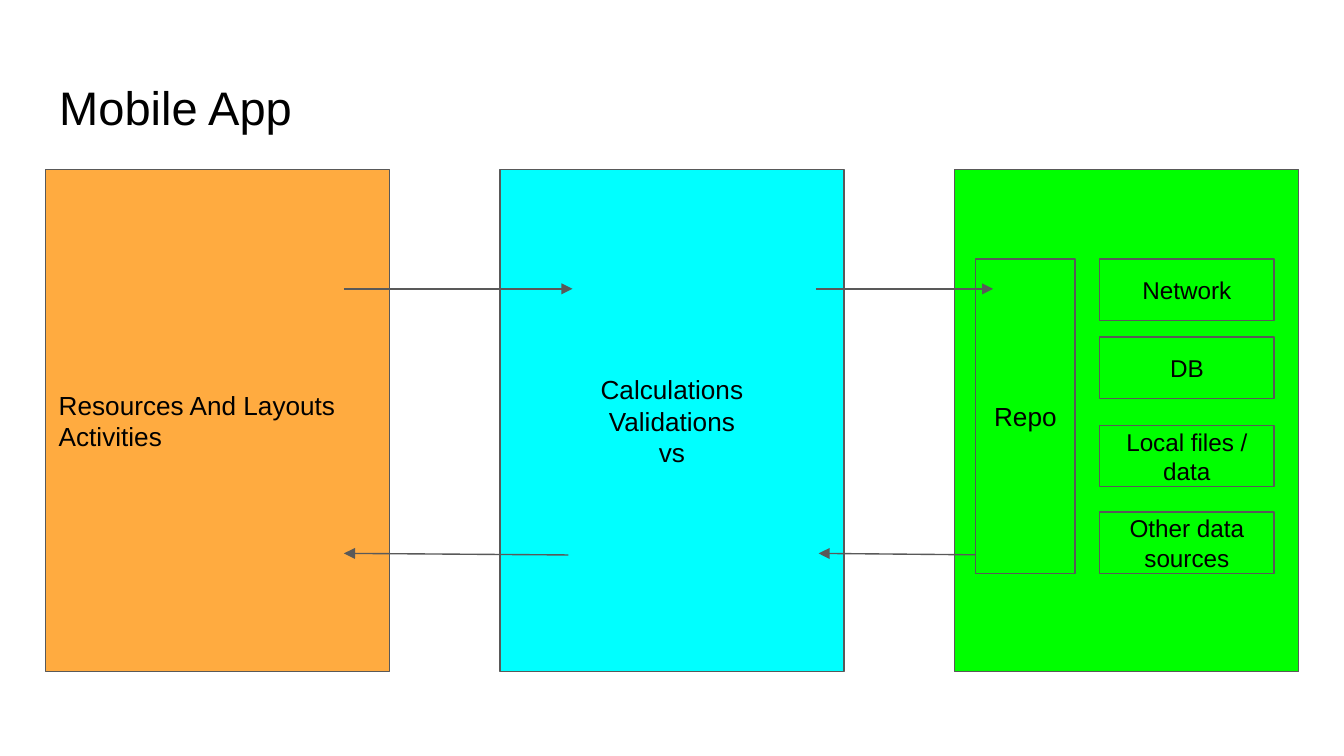
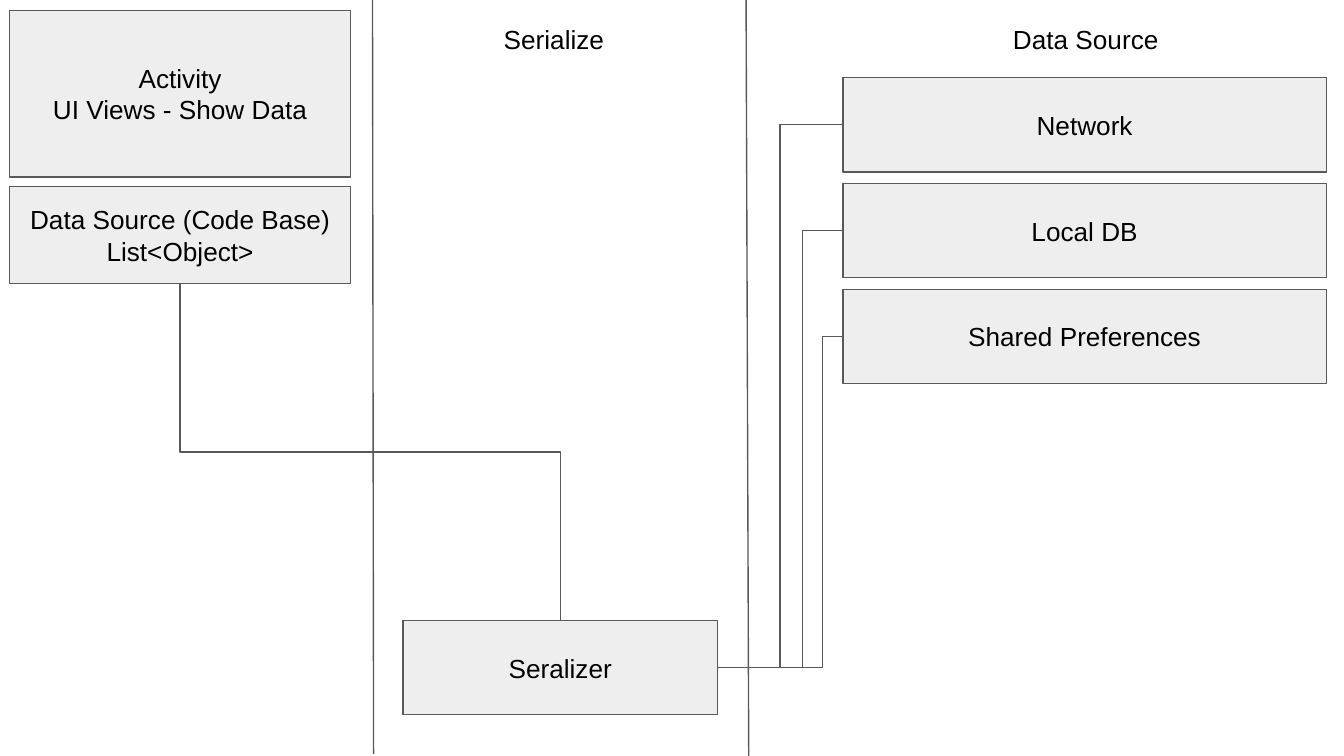
from pptx import Presentation
from pptx.dml.color import RGBColor
from pptx.enum.shapes import MSO_CONNECTOR as CONN, MSO_SHAPE
from pptx.enum.text import MSO_ANCHOR as ANCHOR, PP_ALIGN as ALIGN
from pptx.oxml.ns import qn
from pptx.util import Cm, Pt
from lxml.etree import SubElement

FONT = "Arial"
BLACK, LINE = "000000", "595959"
ORANGE, CYAN, GREEN, GREY = "FFAB40", "00FFFF", "00FF00", "EEEEEE"
INSET = 0.25
TOP, LEFT, BOTTOM, RIGHT = range(4)


def rgb(color):
    return RGBColor.from_string(color)


def write(sp, lines, size, align, anchor, inset_y=INSET):
    tf = sp.text_frame
    tf.word_wrap = True
    tf.vertical_anchor = anchor
    tf.margin_left = tf.margin_right = Cm(INSET)
    tf.margin_top = tf.margin_bottom = Cm(inset_y)
    for i, line in enumerate(lines):
        p = tf.paragraphs[0] if i == 0 else tf.add_paragraph()
        p.text = line
        p.alignment = align
        p.font.name, p.font.size = FONT, Pt(size)
        p.font.color.rgb = rgb(BLACK)


def add_text(s, box, text, size=14, align=ALIGN.CENTER):
    sp = s.shapes.add_textbox(*map(Cm, box))
    write(sp, [text], size, align, ANCHOR.TOP)


def add_box(s, box, fill, lines=(), size=14, align=ALIGN.CENTER, inset_y=INSET):
    sp = s.shapes.add_shape(MSO_SHAPE.RECTANGLE, *map(Cm, box))
    sp.shadow.inherit = False
    sp.fill.solid()
    sp.fill.fore_color.rgb = rgb(fill)
    sp.line.color.rgb = rgb(LINE)
    sp.line.width = Pt(0.75)
    write(sp, lines, size, align, ANCHOR.MIDDLE, inset_y)
    return sp


def add_line(s, x1, y1, x2, y2, kind=CONN.STRAIGHT, arrow=False):
    c = s.shapes.add_connector(kind, *map(Cm, (x1, y1, x2, y2)))
    c.line.color.rgb = rgb(LINE)
    c.line.width = Pt(0.75)
    if arrow:
        SubElement(c.line._get_or_add_ln(), qn("a:tailEnd"), type="triangle")
    SubElement(c._element.spPr, qn("a:effectLst"))
    return c


def add_elbow(s, start, start_side, end, end_side, bend=0.5):
    """Join two boxes; bend is the share of the way at which the line turns."""
    c = add_line(s, 0, 0, 1, 1, CONN.ELBOW)
    c.begin_connect(start, start_side)
    c.end_connect(end, end_side)
    guides = c._element.spPr.find(qn("a:prstGeom")).get_or_add_avLst()
    SubElement(guides, qn("a:gd"), name="adj1", fmla=f"val {round(bend * 100000)}")
    return c


def turn_upright(c):
    """Make an elbow that runs up and to the left leave and arrive vertically."""
    left, top, width, height = c.left, c.top, c.width, c.height
    c.left, c.top = left + (width - height) // 2, top + (height - width) // 2
    c.width, c.height = height, width
    xfrm = c._element.spPr.find(qn("a:xfrm"))
    xfrm.rot, xfrm.flipH, xfrm.flipV = 90, True, False


def data_stores(s, x, y):
    add_box(s, (x + 0.4, y + 1.7, 1.88, 5.94), GREEN, ["Repo"])
    stores = [("Network", 1.7), ("DB", 3.17),
              ("Local files / data", 4.84), ("Other data sources", 6.48)]
    for name, dy in stores:
        add_box(s, (x + 2.74, y + dy, 3.3, 1.16), GREEN, [name], size=13, inset_y=0)


def layers(s, x, y):
    width, height, pitch = 6.5, 9.5, 8.59
    panels = [(ORANGE, ["Resources And Layouts", "Activities"], ALIGN.LEFT),
              (CYAN, ["Calculations", "Validations", "vs"], ALIGN.CENTER),
              (GREEN, [], ALIGN.CENTER)]
    for i, (fill, lines, align) in enumerate(panels):
        add_box(s, (x + i * pitch, y, width, height), fill, lines, align=align)

    def flow(x1, y1, x2, y2):
        add_line(s, x + x1, y + y1, x + x2, y + y2, arrow=True)

    flow(5.64, 2.26, 9.96, 2.26)
    flow(9.88, 7.29, 5.64, 7.26)
    flow(17.91, 7.29, 14.61, 7.26)
    data_stores(s, x + 2 * pitch, y)
    flow(14.56, 2.26, 17.91, 2.26)


def mobile_app_slide(s):
    add_text(s, (0.87, 1.24, 23.67, 1.6), "Mobile App", 25.2, ALIGN.LEFT)
    layers(s, 0.86, 3.2)


def activity_column(s, x, y):
    width = 6.45
    add_box(s, (x, y, width, 3.15), GREY, ["Activity", "UI Views - Show Data"])
    return add_box(s, (x, y + 3.33, width, 1.83), GREY,
                   ["Data Source (Code Base)", "List<Object>"])


def serialize_column(s, x, y):
    add_text(s, (x, y, 6.2, 1.12), "Serialize")
    return add_box(s, (x + 0.25, y + 11.53, 5.94, 1.78), GREY, ["Seralizer"])


def source_column(s, x, y):
    add_text(s, (x + 1.49, y, 6.2, 1.12), "Data Source")
    names = ["Network", "Local DB", "Shared Preferences"]
    return [add_box(s, (x, y + 1.27 + 2 * i, 9.14, 1.78), GREY, [name])
            for i, name in enumerate(names)]


def serialization_slide(s):
    add_line(s, 7.04, 0, 7.06, 14.25)
    add_line(s, 14.1, 0, 14.15, 14.29)
    object_list = activity_column(s, 0.18, 0.2)
    serializer = serialize_column(s, 7.37, 0.2)
    sources = source_column(s, 15.93, 0.2)
    turn_upright(add_elbow(s, serializer, TOP, object_list, BOTTOM))
    for source, bend in zip(sources, (0.5, 0.32, 0.16)):
        add_elbow(s, source, LEFT, serializer, RIGHT, bend)


def main():
    prs = Presentation()
    prs.slide_width, prs.slide_height = Cm(25.4), Cm(14.29)
    for build in (mobile_app_slide, serialization_slide):
        build(prs.slides.add_slide(prs.slide_layouts[6]))
    prs.save("out.pptx")


if __name__ == "__main__":
    main()
